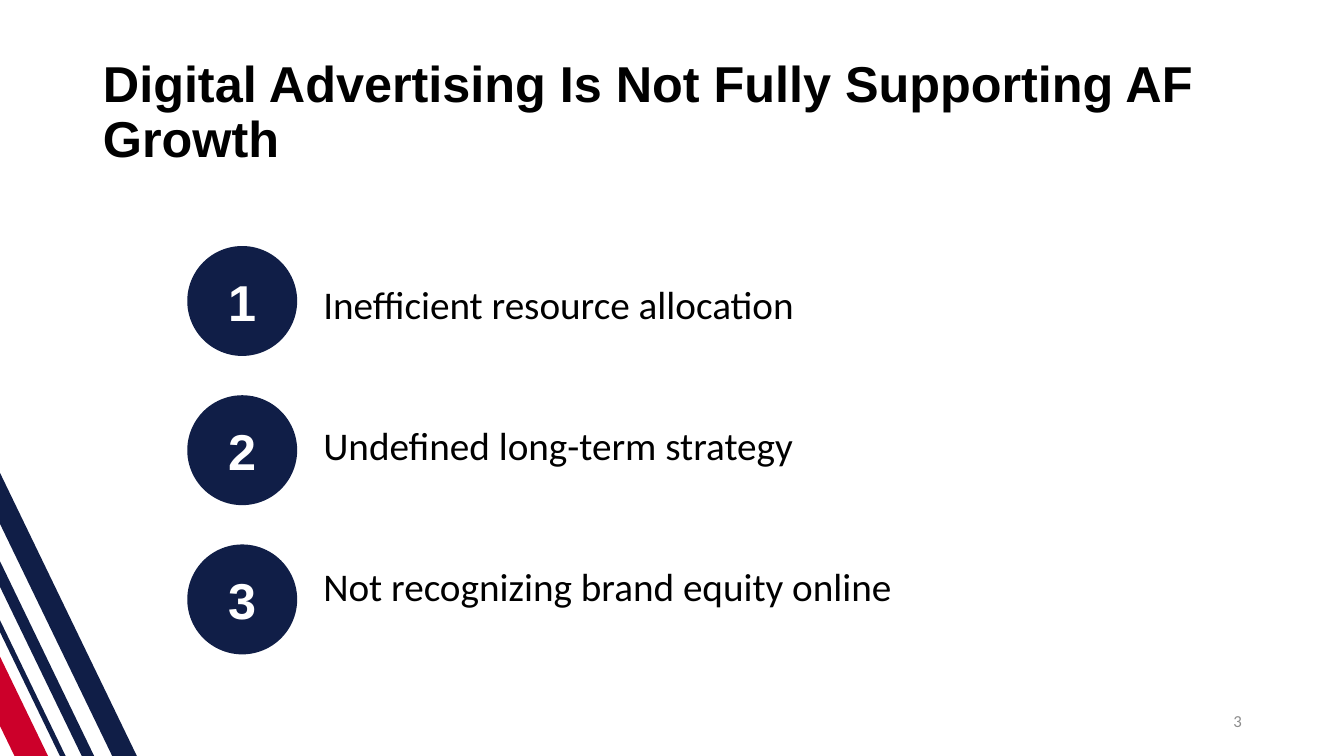
from pptx import Presentation
from pptx.dml.color import RGBColor
from pptx.enum.shapes import MSO_SHAPE
from pptx.enum.text import MSO_ANCHOR, MSO_AUTO_SIZE, PP_ALIGN
from pptx.util import Cm, Pt

NAVY = RGBColor(0x10, 0x1E, 0x47)
RED = RGBColor(0xCC, 0x00, 0x2A)
BLACK = RGBColor(0x00, 0x00, 0x00)
WHITE = RGBColor(0xFF, 0xFF, 0xFF)
GRAY = RGBColor(0x8C, 0x8C, 0x8C)


def add_text(paragraph, text, font_name, size, color, bold=False):
    run = paragraph.add_run()
    run.text = text
    run.font.name = font_name
    run.font.size = Pt(size)
    run.font.bold = bold
    run.font.color.rgb = color


def fill_plain(shape, color):
    shape.shadow.inherit = False
    shape.fill.solid()
    shape.fill.fore_color.rgb = color
    shape.line.fill.background()


presentation = Presentation()
presentation.slide_width = Cm(33.87)
presentation.slide_height = Cm(19.05)
slide = presentation.slides.add_slide(presentation.slide_layouts[5])

# Title
title = slide.shapes.title
title.left, title.top, title.width, title.height = Cm(2.34), Cm(1.02), Cm(31.9), Cm(3.68)
title.text_frame.auto_size = MSO_AUTO_SIZE.NONE
title.text_frame.vertical_anchor = MSO_ANCHOR.MIDDLE
paragraph = title.text_frame.paragraphs[0]
paragraph.alignment = PP_ALIGN.LEFT
paragraph.line_spacing = 0.9
add_text(paragraph, "Digital Advertising Is Not Fully Supporting AF Growth", "Arial", 36, BLACK, bold=True)

# Slide number
number_box = slide.shapes.add_textbox(Cm(23.93), Cm(17.65), Cm(7.62), Cm(1.02))
number_box.text_frame.word_wrap = True
number_box.text_frame.vertical_anchor = MSO_ANCHOR.MIDDLE
paragraph = number_box.text_frame.paragraphs[0]
paragraph.alignment = PP_ALIGN.RIGHT
add_text(paragraph, "3", "Calibri", 12, GRAY)

# Diagonal corner stripes: left, top, width, height in cm
stripes = [
    (-1.04, 10.24, 0.76, 11.63, RED),
    (-0.13, 7.77, 0.13, 15.75, NAVY),
    (0, 6.88, 0.28, 15.75, NAVY),
    (0.64, 6.32, 0.56, 16.28, NAVY),
]
stripe_group = slide.shapes.add_group_shape()
for left, top, width, height, color in stripes:
    stripe = stripe_group.shapes.add_shape(
        MSO_SHAPE.ROUNDED_RECTANGLE, Cm(left), Cm(top), Cm(width), Cm(height))
    stripe.adjustments[0] = 0.5
    stripe.rotation = 334.2
    fill_plain(stripe, color)

# Three problems, one paragraph each, beside numbered circles
problems = [
    "Inefficient resource allocation",
    "Undefined long-term strategy",
    "Not recognizing brand equity online",
]
problem_box = slide.shapes.add_textbox(Cm(7.9), Cm(5.74), Cm(20.47), Cm(12.22))
problem_frame = problem_box.text_frame
problem_frame.word_wrap = True
problem_frame.margin_top = Cm(1.33)

for index, problem in enumerate(problems):
    if index == 0:
        paragraph = problem_frame.paragraphs[0]
    else:
        paragraph = problem_frame.add_paragraph()
        paragraph.space_before = Pt(67)
    add_text(paragraph, problem, "Calibri", 28, BLACK)

    circle = slide.shapes.add_shape(
        MSO_SHAPE.OVAL, Cm(4.72), Cm(6.2 + 3.76 * index), Cm(2.77), Cm(2.77))
    fill_plain(circle, NAVY)
    circle.text_frame.vertical_anchor = MSO_ANCHOR.MIDDLE
    paragraph = circle.text_frame.paragraphs[0]
    paragraph.alignment = PP_ALIGN.CENTER
    add_text(paragraph, str(index + 1), "Arial", 36, WHITE, bold=True)

presentation.save("out.pptx")
